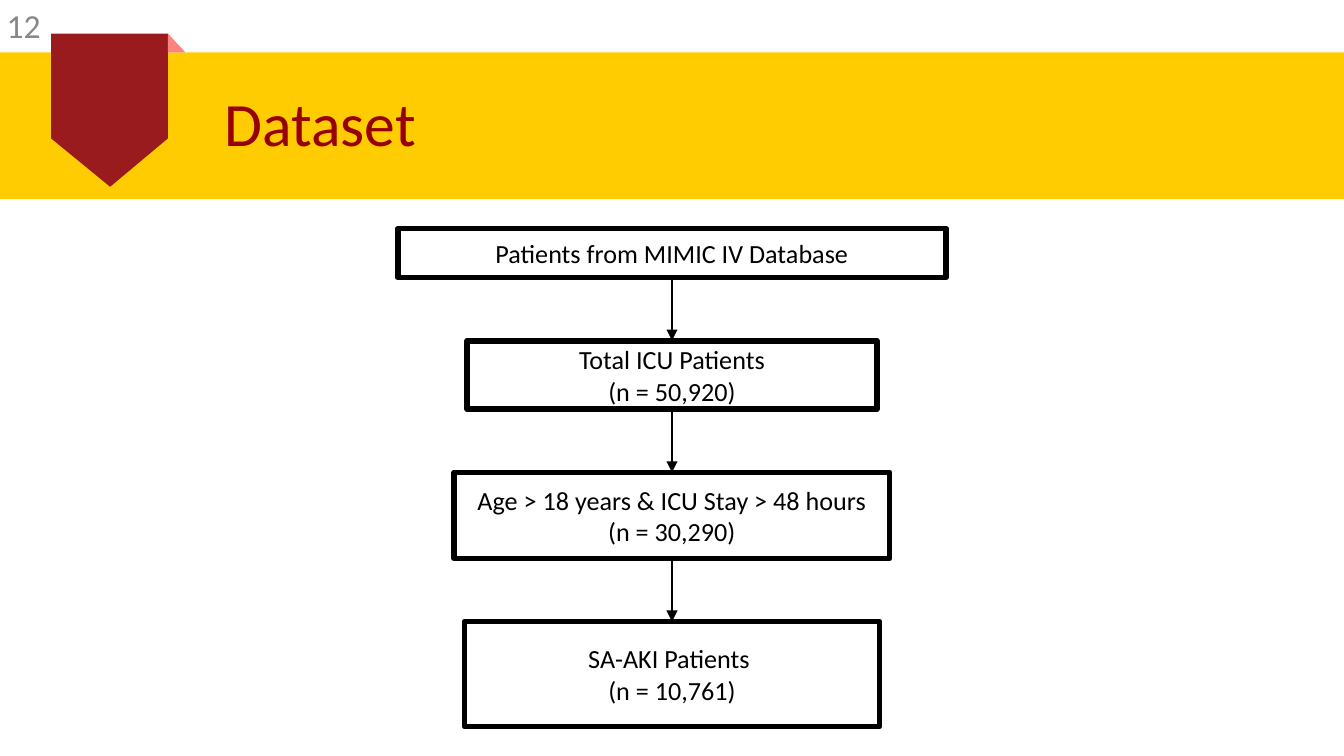
from itertools import pairwise

from pptx import Presentation
from pptx.dml.color import RGBColor
from pptx.enum.shapes import MSO_CONNECTOR, MSO_SHAPE
from pptx.enum.text import MSO_ANCHOR, MSO_AUTO_SIZE, PP_ALIGN
from pptx.oxml.ns import qn
from pptx.util import Inches, Pt
from lxml import etree

RECT, STRAIGHT = MSO_SHAPE.RECTANGLE, MSO_CONNECTOR.STRAIGHT
MIDDLE, NO_FIT = MSO_ANCHOR.MIDDLE, MSO_AUTO_SIZE.NONE
LEFT, CENTER = PP_ALIGN.LEFT, PP_ALIGN.CENTER

YELLOW = RGBColor(0xFF, 0xCB, 0x01)
RED = RGBColor(0x99, 0x1B, 0x1E)
PINK = RGBColor(0xFE, 0x82, 0x82)
TITLE_RED = RGBColor(0x98, 0x01, 0x01)
GRAY = RGBColor(0x88, 0x88, 0x88)
BLACK = RGBColor(0, 0, 0)
WHITE = RGBColor(0xFF, 0xFF, 0xFF)

TITLE_ONLY = 5
COLUMNS = 100  # square grid cells across the slide


class Deck:
    """Style and current slide; lengths are grid cells."""

    font = "Calibri"

    def __init__(self):
        self.prs = Presentation()
        self.prs.slide_width = Inches(10)
        self.prs.slide_height = Inches(10) * 9 // 16
        self.cell = self.prs.slide_width // COLUMNS
        self.slide = self.prs.slides.add_slide(self.prs.slide_layouts[TITLE_ONLY])
        self.shapes = self.slide.shapes

    def grid(self, *cells):
        return [round(c * self.cell) for c in cells]

    def set_text(self, sp, lines, size, color, align=CENTER, inset=0.4):
        tf = sp.text_frame
        tf.text = "\n".join(lines)
        tf.word_wrap, tf.auto_size, tf.vertical_anchor = True, NO_FIT, MIDDLE
        margin, = self.grid(inset)
        tf.margin_left = tf.margin_right = margin
        tf.margin_top = tf.margin_bottom = margin
        for p in tf.paragraphs:
            p.alignment = align
            p.font.name, p.font.size = self.font, Pt(size)
            p.font.color.rgb = color

    def paint(self, sp, fill):
        sp.shadow.inherit = False
        sp.fill.solid()
        sp.fill.fore_color.rgb = fill
        sp.line.fill.background()

    def band(self, box, fill):
        self.paint(self.shapes.add_shape(RECT, *self.grid(*box)), fill)

    def outline(self, points, fill):
        start, *rest = [self.grid(*pt) for pt in points]
        fb = self.shapes.build_freeform(*start)
        fb.add_line_segments(rest, close=True)
        self.paint(fb.convert_to_shape(), fill)

    def title(self, box, text):
        sp = self.shapes.title
        sp.left, sp.top, sp.width, sp.height = self.grid(*box)
        self.set_text(sp, [text], 33, TITLE_RED, LEFT)
        sp.text_frame.paragraphs[0].line_spacing = 0.9
        # Bring the title in front of the banner
        self.shapes.element.append(sp.element)

    def label(self, box, text):
        sp = self.shapes.add_textbox(*self.grid(*box))
        self.set_text(sp, [text], 18, GRAY)

    def step(self, top, width, height, lines):
        box = self.grid((COLUMNS - width) / 2, top, width, height)
        sp = self.shapes.add_shape(RECT, *box)
        self.paint(sp, WHITE)
        sp.line.color.rgb, sp.line.width = BLACK, Pt(3)
        self.set_text(sp, lines, 14, BLACK, inset=1)
        return sp

    def arrow(self, upper, lower):
        cxn = self.shapes.add_connector(STRAIGHT, 0, 0, 0, 0)
        cxn.begin_connect(upper, 2)
        cxn.end_connect(lower, 0)
        cxn.line.color.rgb, cxn.line.width = BLACK, Pt(0.75)
        ln = cxn.line._get_or_add_ln()
        etree.SubElement(ln, qn("a:tailEnd"), type="triangle")
        etree.SubElement(cxn._element.spPr, qn("a:effectLst"))


# Flow steps: width, height, lines
STEPS = [
    (40.8, 3.65, ["Patients from MIMIC IV Database"]),
    (30.5, 5.1, ["Total ICU Patients", "(n = 50,920)"]),
    (32.4, 6.4, ["Age > 18 years & ICU Stay > 48 hours (n = 30,290)"]),
    (30.9, 7.8, ["SA-AKI Patients ", "(n = 10,761)"]),
]
FLOW_TOP, GAP = 17, 4.7


def main():
    deck = Deck()

    # Banner with ribbon
    deck.band((0, 3.9, COLUMNS, 10.9), YELLOW)
    deck.outline([(12.5, 2.5), (12.5, 10.3), (8.2, 13.9), (3.8, 10.3), (3.8, 2.5)], RED)
    deck.outline([(12.5, 3.9), (13.8, 3.9), (12.5, 2.5)], PINK)

    # Title and page number
    deck.title((16.3, 4, 76.8, 10.9), "Dataset")
    deck.label((0, 0, 3.5, 3.8), "12")

    # Patient selection flow
    boxes, top = [], FLOW_TOP
    for width, height, lines in STEPS:
        boxes.append(deck.step(top, width, height, lines))
        top += height + GAP
    for upper, lower in pairwise(boxes):
        deck.arrow(upper, lower)

    deck.prs.save("out.pptx")


if __name__ == "__main__":
    main()
